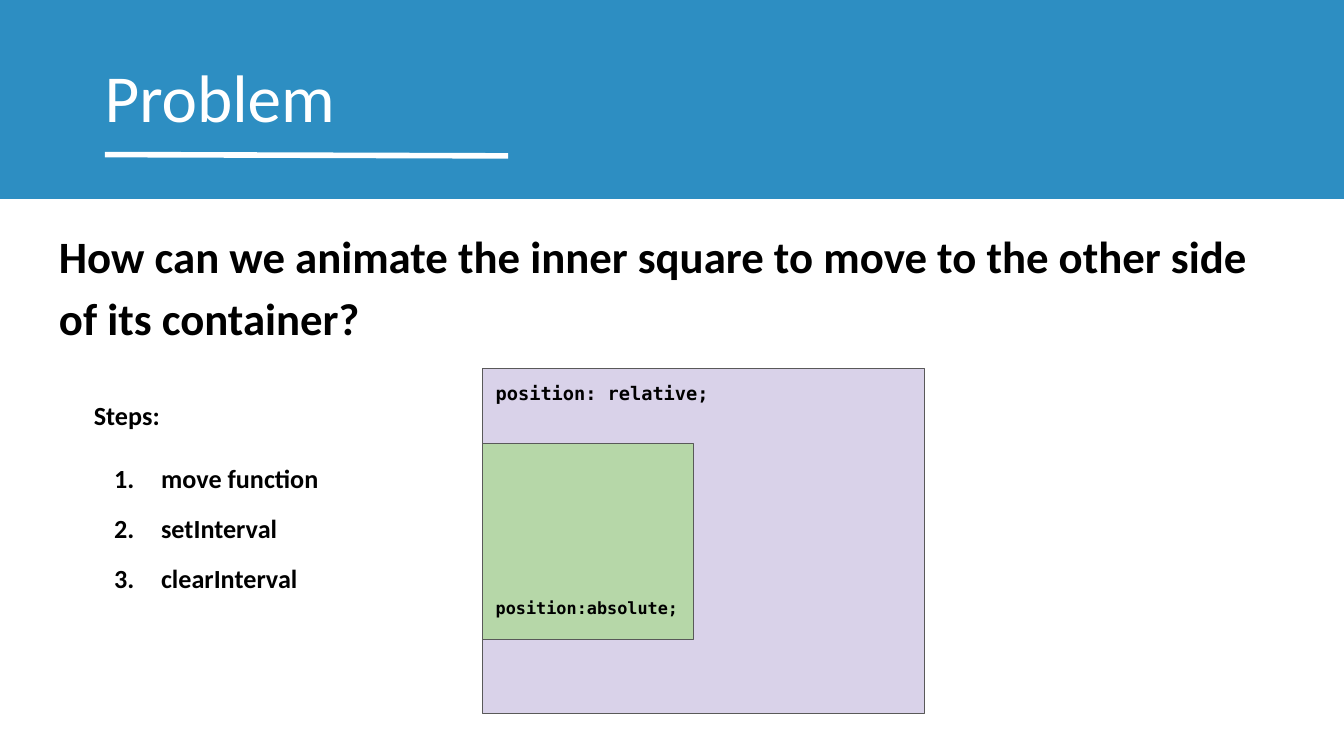
from lxml import etree
from pptx import Presentation
from pptx import util as u
from pptx.dml.color import RGBColor
from pptx.enum import shapes, text
from pptx.oxml.ns import qn

SANS, MONO = "Calibri", "DejaVu Sans Mono"
BLACK, WHITE = "000000", "FFFFFF"
WIDTH = 10
HEIGHT = WIDTH * 9 / 16


def color(value):
    return RGBColor.from_string(value)


def add_rect(page, box, fill, line=None):
    rect = page.shapes.add_shape(shapes.MSO_SHAPE.RECTANGLE, *map(u.Inches, box))
    rect.shadow.inherit = False
    rect.fill.solid()
    rect.fill.fore_color.rgb = color(fill)
    if line:
        rect.line.color.rgb = color(line)
        rect.line.width = u.Pt(0.75)
    else:
        rect.line.fill.background()
    return rect


def add_text_box(page, box):
    return page.shapes.add_textbox(*map(u.Inches, box))


def write(shape, lines, size, font=SANS, ink=BLACK, bold=True, spacing=None,
          anchor=text.MSO_ANCHOR.TOP, bottom=0.1):
    """Write one paragraph per line and return the paragraphs."""
    frame = shape.text_frame
    frame.word_wrap = True
    frame.vertical_anchor = anchor
    frame.margin_left = frame.margin_right = frame.margin_top = u.Inches(0.1)
    frame.margin_bottom = u.Inches(bottom)
    for index, line in enumerate(lines):
        para = frame.add_paragraph() if index else frame.paragraphs[0]
        para.alignment = text.PP_ALIGN.LEFT
        para.line_spacing = spacing
        span = para.add_run()
        span.text = line
        span.font.name = font
        span.font.size = u.Pt(size)
        span.font.bold = bold
        span.font.color.rgb = color(ink)
    return frame.paragraphs


def number(para):
    """Turn a paragraph into an item of a numbered list."""
    props = para._p.get_or_add_pPr()
    props.set("marL", str(u.Inches(0.5)))
    props.set("indent", str(u.Inches(-0.35)))
    bullet_color = etree.SubElement(props, qn("a:buClr"))
    etree.SubElement(bullet_color, qn("a:srgbClr")).set("val", BLACK)
    etree.SubElement(props, qn("a:buAutoNum")).set("type", "arabicPeriod")


def header(page, box, title):
    left, top, width, height = box
    add_rect(page, box, "2D8EC2")
    # Underline, very slightly tilted
    ends = (left + 0.78, top + 1.15, left + 3.78, top + 1.16)
    rule = page.shapes.add_connector(shapes.MSO_CONNECTOR.STRAIGHT, *map(u.Inches, ends))
    rule.line.color.rgb = color(WHITE)
    rule.line.width = u.Pt(3)
    etree.SubElement(rule._element.spPr, qn("a:effectLst"))
    # Title
    title_box = add_text_box(page, (left + 0.68, top + 0.31, width - 0.68, 0.63))
    write(title_box, [title], 36, ink=WHITE, bold=False)


def question(page, box, words):
    write(add_text_box(page, box), [words], 24, spacing=1.15)


def steps(page, box, heading, items):
    paras = write(add_text_box(page, box), [heading, *items], 14)
    for index, para in enumerate(paras[1:]):
        para.space_before = u.Pt(10 if index else 17)
        number(para)


def nested_squares(page, box):
    left, top, width, height = box
    # Container
    container = add_rect(page, box, "D9D2E9", "595959")
    write(container, ["position: relative;"], 10, font=MONO)
    # Moving square
    square = add_rect(page, (left, top + 0.56, 1.57, 1.46), "B6D7A8", "595959")
    write(square, ["position:absolute;"], 9, font=MONO,
          anchor=text.MSO_ANCHOR.BOTTOM, bottom=0.16)


def main():
    deck = Presentation()
    deck.slide_width, deck.slide_height = u.Inches(WIDTH), u.Inches(HEIGHT)
    page = deck.slides.add_slide(deck.slide_layouts[6])
    header(page, (0, 0, WIDTH, 1.48), "Problem")
    question(page, (0.34, 1.54, 9.32, 3.74),
             "How can we animate the inner square to move to the other side of its container?")
    nested_squares(page, (3.59, 2.74, 3.29, 2.57))
    steps(page, (0.6, 2.87, 2.62, 2.31), "Steps:",
          ["move function", "setInterval", "clearInterval"])
    deck.save("out.pptx")


if __name__ == "__main__":
    main()
